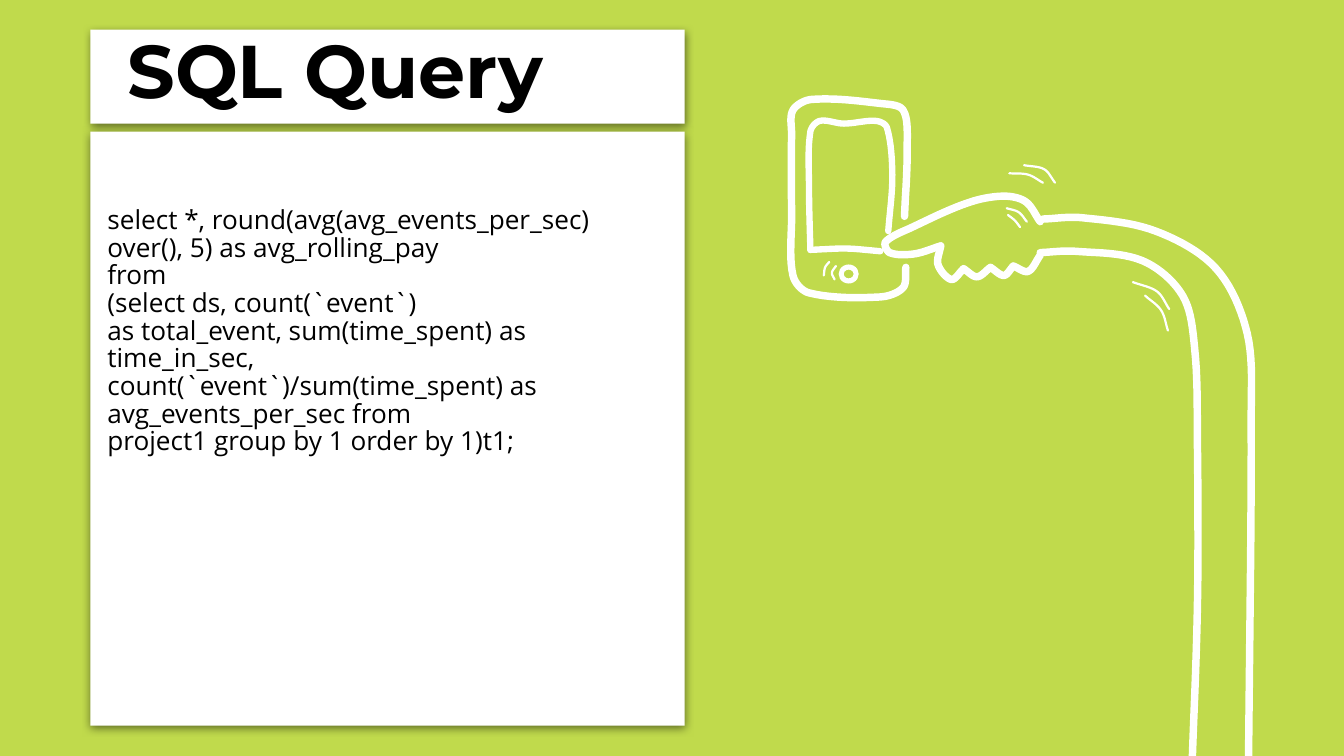
from math import dist

from lxml import etree
from pptx import Presentation
from pptx.dml.color import RGBColor
from pptx.enum.shapes import MSO_SHAPE
from pptx.enum.text import MSO_ANCHOR
from pptx.oxml.ns import qn
from pptx.util import Cm, Pt

RECTANGLE, DONUT = MSO_SHAPE.RECTANGLE, MSO_SHAPE.DONUT
MIDDLE = MSO_ANCHOR.MIDDLE


class Theme:
    lime = RGBColor(0xC0, 0xDA, 0x4C)
    white = RGBColor(0xFF, 0xFF, 0xFF)
    black = RGBColor(0, 0, 0)
    title_font, title_size = "Montserrat", Pt(40)
    query_font, query_size = "Open Sans", Pt(14)
    query_spacing = 0.88
    thick, medium, thin = Pt(4), Pt(3.4), Pt(1.2)


# Content
TITLE = "SQL Query"
QUERY = [
    "select *, round(avg(avg_events_per_sec) over(), 5) as avg_rolling_pay",
    "from",
    "(select ds, count(`event`)",
    "as total_event, sum(time_spent) as time_in_sec, "
    "count(`event`)/sum(time_spent) as avg_events_per_sec from",
    "project1 group by 1 order by 1)t1;",
]

# Boxes in cm: left, top, width, height
CARDS = [(1.71, 0.56, 11.23, 1.78), (1.71, 2.49, 11.23, 11.23)]
TITLE_BOX = (2.16, -0.13, 10.36, 2.87)
QUERY_BOX = (1.78, 0.89, 10.77, 10.77)
HOME_BUTTON = (15.85, 5, 0.38, 0.36)

# Pen strokes: points on a grid of 0.0254 cm, joined by a smooth curve
GRID = 0.0254
PHONE = [
    [(673, 161), (675, 110), (672, 82), (655, 77), (604, 74), (590, 82), (589, 100),
     (589, 160), (590, 205), (602, 218), (655, 221), (672, 214), (674, 199)],
]
SCREEN = [
    [(661, 172), (664, 130), (660, 95), (652, 90), (628, 92), (610, 90), (603, 98),
     (602, 140), (603, 186)],
    [(603, 186), (630, 185), (655, 187)],
]
HAND_AND_SLEEVE = [
    [(774, 165), (763, 150), (746, 146), (720, 151), (679, 169), (659, 180),
     (662, 188), (680, 189), (700, 183)],
    [(700, 183), (698, 197), (708, 208), (717, 200)],
    [(717, 200), (727, 206), (737, 199)],
    [(737, 199), (747, 205), (754, 198)],
    [(754, 198), (765, 202), (774, 190)],
    [(776, 163), (805, 162), (860, 172), (905, 200), (928, 248), (931, 310), (929, 570)],
    [(774, 188), (800, 187), (850, 194), (880, 220), (889, 260), (891, 330),
     (891, 450), (887, 570)],
]
MOTION_LINES = [
    [(622, 198), (619, 203), (621, 208)],  # beside the button
    [(617, 195), (614, 199), (613, 205)],
    [(749, 155), (758, 158), (764, 165)],  # on the hand
    [(750, 160), (755, 164), (759, 169)],
    [(751, 129), (765, 130), (776, 136)],  # above the hand
    [(762, 123), (777, 126), (785, 136)],
    [(843, 210), (861, 217), (870, 230)],  # below the sleeve
    [(852, 220), (864, 231), (869, 246)],
]


def place(box):
    return [Cm(length) for length in box]


def paint_white(shape):
    shape.shadow.inherit = False
    shape.fill.solid()
    shape.fill.fore_color.rgb = Theme.white
    shape.line.fill.background()


def drop_shadow(shape):
    effects = shape._element.spPr.find(qn("a:effectLst"))
    shadow = etree.SubElement(effects, qn("a:outerShdw"), blurRad=str(Pt(4.5)),
                              dist=str(Pt(1.5)), dir="5400000", algn="bl", rotWithShape="0")
    colour = etree.SubElement(shadow, qn("a:srgbClr"), val=str(Theme.black))
    etree.SubElement(colour, qn("a:alpha"), val="50000")


def add_text(slide, box, lines, font, size, bold=False, spacing=None):
    frame = slide.shapes.add_textbox(*place(box)).text_frame
    frame.word_wrap = True
    frame.vertical_anchor = MIDDLE
    frame.margin_left = frame.margin_right = Cm(0.25)
    frame.margin_top = frame.margin_bottom = Cm(0.25)
    frame.text = "\n".join(lines)
    for paragraph in frame.paragraphs:
        paragraph.font.name, paragraph.font.size = font, size
        paragraph.font.bold = bold
        paragraph.font.color.rgb = Theme.black
        if spacing:
            paragraph.line_spacing = spacing


def smooth(knots, steps=10):
    """Points of a curve through the knots, its slopes taken from their neighbours."""
    slopes = []
    for i, knot in enumerate(knots):
        before, after = knots[max(i - 1, 0)], knots[min(i + 1, len(knots) - 1)]
        length = dist(before, knot) + dist(knot, after)
        slopes.append([(b - a) / length for a, b in zip(before, after)])
    points = [knots[0]]
    for start, end, leave, arrive in zip(knots, knots[1:], slopes, slopes[1:]):
        span = dist(start, end)
        for step in range(1, steps + 1):
            t = step / steps
            ease = t * t * (3 - 2 * t)
            points.append(tuple(
                p + (q - p) * ease + span * t * (1 - t) * (m * (1 - t) - n * t)
                for p, q, m, n in zip(start, end, leave, arrive)))
    return points


def draw_stroke(slide, knots, width):
    points = [(Cm(x * GRID), Cm(y * GRID)) for x, y in smooth(knots)]
    builder = slide.shapes.build_freeform(*points[0])
    builder.add_line_segments(points[1:], close=False)
    stroke = builder.convert_to_shape()
    stroke.shadow.inherit = False
    stroke.fill.background()
    stroke.line.color.rgb = Theme.white
    stroke.line.width = width
    outline = stroke._element.spPr.find(qn("a:ln"))
    outline.set("cap", "rnd")
    etree.SubElement(outline, qn("a:round"))


prs = Presentation()
prs.slide_width, prs.slide_height = Cm(25.4), Cm(14.29)
slide = prs.slides.add_slide(prs.slide_layouts[6])
slide.background.fill.solid()
slide.background.fill.fore_color.rgb = Theme.lime

# White cards
for box in CARDS:
    card = slide.shapes.add_shape(RECTANGLE, *place(box))
    paint_white(card)
    drop_shadow(card)

# Title and query
add_text(slide, TITLE_BOX, [TITLE], Theme.title_font, Theme.title_size, bold=True)
add_text(slide, QUERY_BOX, QUERY, Theme.query_font, Theme.query_size,
         spacing=Theme.query_spacing)

# Hand tapping a phone
for strokes, width in ((PHONE, Theme.thick), (SCREEN, Theme.medium),
                       (HAND_AND_SLEEVE, Theme.thick), (MOTION_LINES, Theme.thin)):
    for knots in strokes:
        draw_stroke(slide, knots, width)
button = slide.shapes.add_shape(DONUT, *place(HOME_BUTTON))
button.adjustments[0] = 0.27
paint_white(button)

prs.save("out.pptx")
